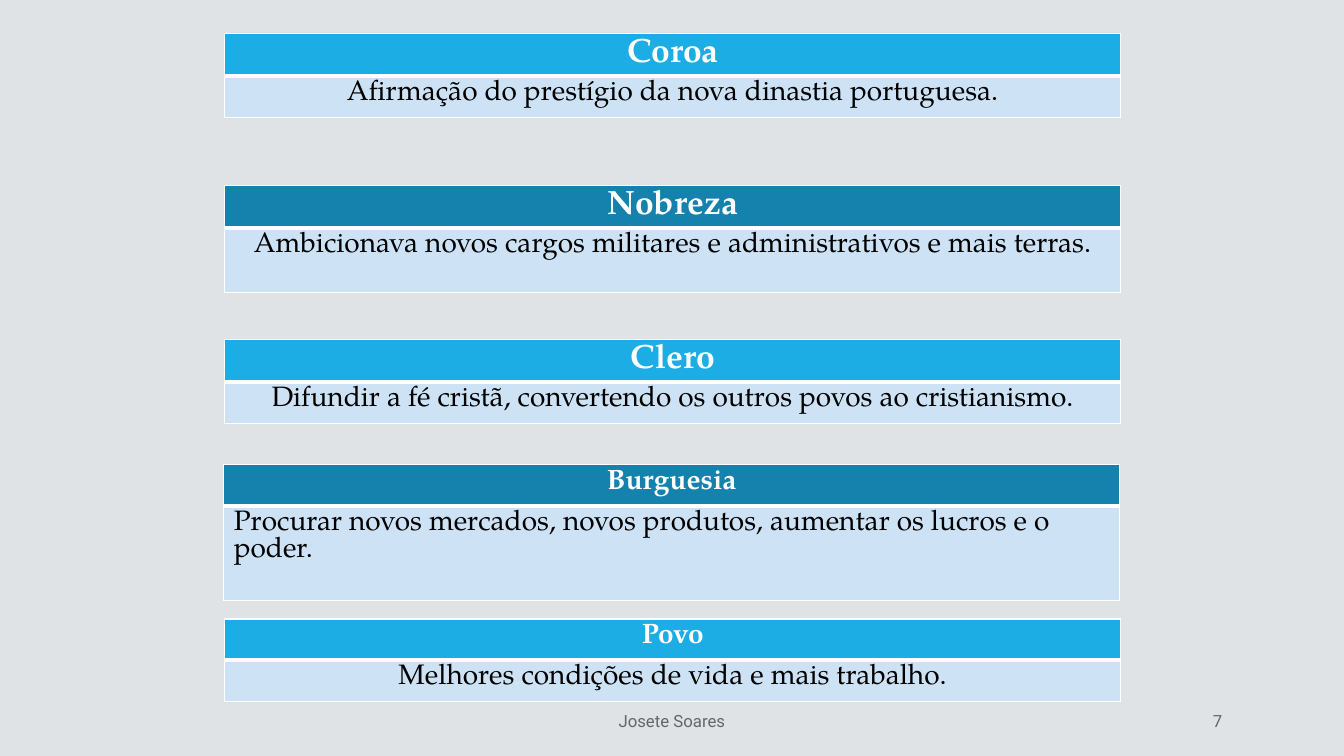
"""Build the slide on what each social group sought from expansion."""
from lxml.etree import SubElement
from pptx import Presentation
from pptx.dml.color import RGBColor
from pptx.enum.text import MSO_ANCHOR, PP_ALIGN
from pptx.oxml.ns import qn
from pptx.util import Pt

LIGHT, DARK, PALE = "1CADE4", "1482AC", "CDE3F5"
SERIF, SANS = "TeX Gyre Pagella", "Roboto"
MID, LEFT, RIGHT = PP_ALIGN.CENTER, PP_ALIGN.LEFT, PP_ALIGN.RIGHT
WIDE = 640

# Group, aim, left, top, head height, aim height, head size, aim alignment
GROUPS = [
    ("Coroa", "Afirmação do prestígio da nova dinastia portuguesa.",
     160.6, 23.8, 30.4, 29.5, 24, MID),
    ("Nobreza", "Ambicionava novos cargos militares e administrativos e mais terras.",
     160.6, 132.5, 30.4, 45.8, 24, MID),
    ("Clero", "Difundir a fé cristã, convertendo os outros povos ao cristianismo.",
     160.6, 242.6, 30.4, 29.5, 24, MID),
    ("Burguesia", "Procurar novos mercados, novos produtos, aumentar os lucros e o poder.",
     159.8, 331.9, 29.5, 67.3, 20, LEFT),
    ("Povo", "Melhores condições de vida e mais trabalho.",
     160.6, 442.1, 29.5, 29.5, 20, MID),
]
FOOTER = [("Josete Soares", 231, 498, MID), ("7", 729, 144, RIGHT)]


def color(code):
    return RGBColor.from_string(code)


def write(frame, text, size, face, code, align, bold=False):
    para = frame.paragraphs[0]
    para.alignment = align
    run = para.add_run()
    run.text = text
    font = run.font
    font.size, font.name, font.bold = Pt(size), face, bold
    font.color.rgb = color(code)
    return para


def border(cell, sides):
    props = cell._tc.get_or_add_tcPr()
    for spot, (side, width) in enumerate(sides.items()):
        line = SubElement(props, qn("a:ln" + side), w=str(Pt(width)))
        fill = SubElement(line, qn("a:solidFill"))
        SubElement(fill, qn("a:srgbClr"), val="FFFFFF")
        props.insert(spot, line)


def add_group(slide, group, shade):
    name, aim, left, top, head, body, size, align = group
    table = slide.shapes.add_table(
        2, 1, Pt(left), Pt(top), Pt(WIDE), Pt(head + body)).table
    rows = [
        (name, head, size, "FFFFFF", MID, True, shade, 1, 3),
        (aim, body, 20, "000000", align, False, PALE, 3, 1),
    ]
    for spot, (text, high, points, ink, side, bold, fill, above, below) in enumerate(rows):
        table.rows[spot].height = Pt(high)
        cell = table.cell(spot, 0)
        cell.fill.solid()
        cell.fill.fore_color.rgb = color(fill)
        border(cell, {"L": 1, "R": 1, "T": above, "B": below})
        para = write(cell.text_frame, text, points, SERIF, ink, side, bold)
        para.line_spacing = Pt(points * 0.97)


def add_footer(slide, text, left, width, align):
    frame = slide.shapes.add_textbox(
        Pt(left), Pt(500.4), Pt(width), Pt(28.8)).text_frame
    frame.word_wrap = True
    frame.margin_left = frame.margin_right = 0
    frame.vertical_anchor = MSO_ANCHOR.MIDDLE
    write(frame, text, 12, SANS, "666666", align)


def main():
    deck = Presentation()
    deck.slide_width, deck.slide_height = Pt(960), Pt(540)
    slide = deck.slides.add_slide(deck.slide_layouts[6])
    back = slide.background.fill
    back.solid()
    back.fore_color.rgb = color("DFE3E5")
    for item in FOOTER:
        add_footer(slide, *item)
    for spot, group in enumerate(GROUPS):
        add_group(slide, group, DARK if spot % 2 else LIGHT)
    deck.save("out.pptx")


if __name__ == "__main__":
    main()
